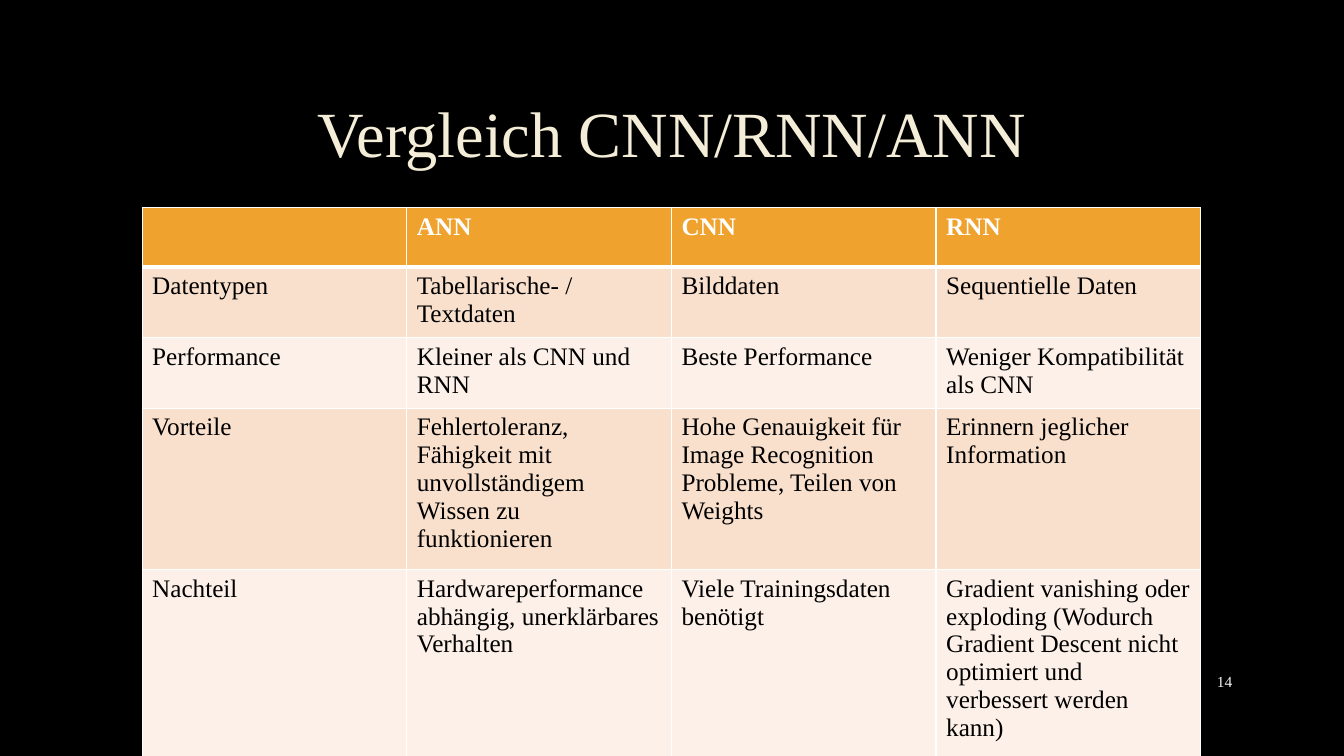
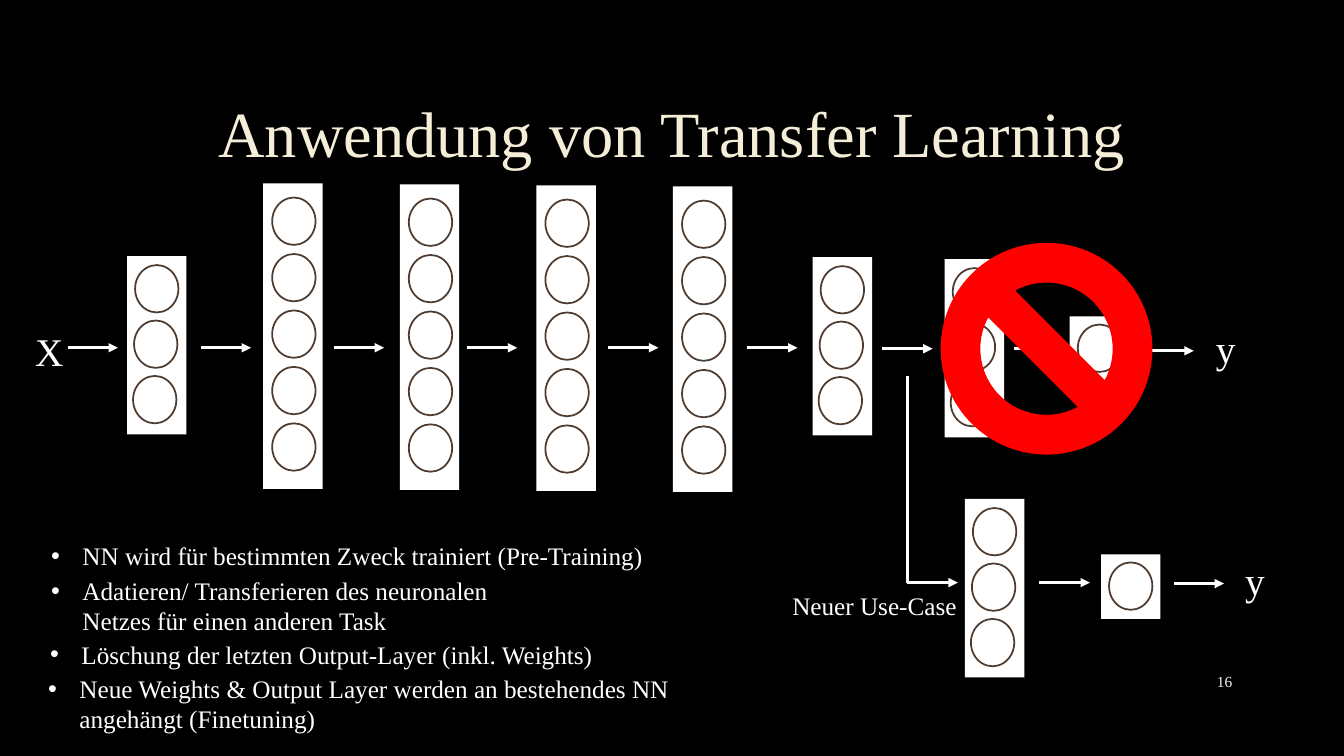
from pptx import Presentation
from pptx.dml.color import RGBColor
from pptx.enum.shapes import MSO_CONNECTOR, MSO_SHAPE
from pptx.enum.text import MSO_ANCHOR, PP_ALIGN
from pptx.oxml.ns import qn
from pptx.util import Inches, Pt
from lxml.etree import SubElement

FONT = "Times New Roman"
BLACK = RGBColor(0x00, 0x00, 0x00)
WHITE = RGBColor(0xFF, 0xFF, 0xFF)
CREAM = RGBColor(0xF4, 0xED, 0xD8)
LIGHT_GREY = RGBColor(0xF2, 0xF2, 0xF2)
BROWN = RGBColor(0x4E, 0x3B, 0x30)
RED = RGBColor(0xFF, 0x00, 0x00)
ORANGE = RGBColor(0xF0, 0xA2, 0x2E)
BAND_DARK = RGBColor(0xF9, 0xE0, 0xCD)
BAND_LIGHT = RGBColor(0xFC, 0xF0, 0xE8)


def add_text(s, box, text, size, color=WHITE, align=PP_ALIGN.LEFT,
             anchor=MSO_ANCHOR.TOP, bullet=False):
    tf = s.shapes.add_textbox(*map(Inches, box)).text_frame
    tf.word_wrap = True
    tf.vertical_anchor = anchor
    p = tf.paragraphs[0]
    p.alignment = align
    if bullet:
        pPr = p._p.get_or_add_pPr()
        pPr.set("marL", str(Inches(0.31)))
        pPr.set("indent", str(-Inches(0.31)))
        SubElement(pPr, qn("a:buFont"), typeface="Arial")
        SubElement(pPr, qn("a:buChar"), char="•")
    r = p.add_run()
    r.text = text
    r.font.name = FONT
    r.font.size = Pt(size)
    r.font.color.rgb = color
    return p


def add_filled(s, kind, box, fill, line=None):
    sp = s.shapes.add_shape(kind, *map(Inches, box))
    sp.shadow.inherit = False
    sp.fill.solid()
    sp.fill.fore_color.rgb = fill
    if line is None:
        sp.line.fill.background()
    else:
        sp.line.color.rgb = line
        sp.line.width = Pt(1.25)


prs = Presentation()
prs.slide_width = Inches(13.33)
prs.slide_height = Inches(7.5)

# Shared frame: background, title, slide number
slides = []
for title, number in [("Vergleich CNN/RNN/ANN", "14"),
                      ("Anwendung von Transfer Learning", "16")]:
    s = prs.slides.add_slide(prs.slide_layouts[6])
    s.background.fill.solid()
    s.background.fill.fore_color.rgb = BLACK
    p = add_text(s, (1, 0.67, 11.32, 1.38), title, 46, CREAM,
                 PP_ALIGN.CENTER, MSO_ANCHOR.MIDDLE)
    p.line_spacing = 0.9
    add_text(s, (11.5, 6.56, 0.82, 0.4), number, 11, LIGHT_GREY,
             PP_ALIGN.RIGHT, MSO_ANCHOR.MIDDLE)
    slides.append(s)
comparison, transfer = slides

# Comparison table
ROWS = [
    ("", "ANN", "CNN", "RNN"),
    ("Datentypen", "Tabellarische- / Textdaten", "Bilddaten",
     "Sequentielle Daten"),
    ("Performance", "Kleiner als CNN und RNN", "Beste Performance",
     "Weniger Kompatibilität als CNN"),
    ("Vorteile",
     "Fehlertoleranz, Fähigkeit mit unvollständigem Wissen zu funktionieren",
     "Hohe Genauigkeit für Image Recognition Probleme, Teilen von Weights",
     "Erinnern jeglicher Information"),
    ("Nachteil", "Hardwareperformance abhängig, unerklärbares Verhalten",
     "Viele Trainingsdaten benötigt",
     "Gradient vanishing oder exploding (Wodurch Gradient Descent nicht "
     "optimiert und verbessert werden kann)"),
]
table = comparison.shapes.add_table(
    len(ROWS), len(ROWS[0]), Inches(1.41), Inches(2.06),
    Inches(10.5), Inches(0.59 * len(ROWS))).table
for i, row in enumerate(ROWS):
    header = i == 0
    for j, text in enumerate(row):
        cell = table.cell(i, j)
        tcPr = cell._tc.get_or_add_tcPr()
        for side in "LRTB":
            thick = (i, side) in [(0, "B"), (1, "T")]
            ln = SubElement(tcPr, qn(f"a:ln{side}"), w=str(Pt(3 if thick else 1)))
            SubElement(SubElement(ln, qn("a:solidFill")), qn("a:srgbClr"),
                       val=str(WHITE))
        cell.fill.solid()
        cell.fill.fore_color.rgb = (
            ORANGE if header else BAND_DARK if i % 2 else BAND_LIGHT)
        if text:
            r = cell.text_frame.paragraphs[0].add_run()
            r.text = text
            r.font.name = FONT
            r.font.size = Pt(18)
            r.font.bold = header
            r.font.color.rgb = WHITE if header else BLACK

# Network layers: neurons -> (height, left inset, top inset, pitch, drift)
LAYER_STYLES = {
    5: (3.03, 0.09, 0.14, 0.56, 0),
    3: (1.77, 0.08, 0.09, 0.55, -0.01),
    1: (0.64, 0.08, 0.08, 0, 0),
}
LAYERS = [(2.61 + 1.355 * i, 1.82 + 0.01 * i, 5) for i in range(4)]
LAYERS += [(1.26, 2.54, 3), (8.06, 2.55, 3), (9.37, 2.57, 3), (10.61, 3.14, 1),
           (9.57, 4.95, 3), (10.92, 5.5, 1)]
for left, top, neurons in LAYERS:
    height, inset_x, inset_y, pitch, drift = LAYER_STYLES[neurons]
    add_filled(transfer, MSO_SHAPE.RECTANGLE, (left, top, 0.59, height), WHITE)
    for n in range(neurons):
        add_filled(transfer, MSO_SHAPE.OVAL,
                   (left + inset_x + n * drift, top + inset_y + n * pitch,
                    0.43, 0.47), WHITE, BROWN)

# Half-inch arrows between layers, and the branch line to the new use case
ARROWS = [(x, 3.45) for x in (0.67, 1.99, 3.31, 4.63, 6.03, 7.41)]
ARROWS += [(8.75, 3.46), (10.06, 3.46), (11.34, 3.48),
           (9, 5.78), (10.31, 5.78), (11.64, 5.79)]
LINES = [(x, y, x + 0.5, y, True) for x, y in ARROWS]
LINES.append((9, 3.73, 9, 5.78, False))
for *ends, arrowhead in LINES:
    line = transfer.shapes.add_connector(MSO_CONNECTOR.STRAIGHT,
                                         *map(Inches, ends))
    line.line.color.rgb = WHITE
    line.line.width = Pt(2.25)
    if arrowhead:
        SubElement(line.line._get_or_add_ln(), qn("a:tailEnd"), type="triangle")
    SubElement(line._element.spPr, qn("a:effectLst"))

add_filled(transfer, MSO_SHAPE.NO_SYMBOL, (9.33, 2.41, 2.1, 2.1), RED)

for text, left, top in [("X", 0.25, 3.2), ("y", 11.96, 3.17), ("y", 12.25, 5.47)]:
    add_text(transfer, (left, top, 0.59, 0.57), text, 28)
add_text(transfer, (7.76, 5.81, 1.9, 0.4), "Neuer Use-Case", 18)

for box, text in [
    ((0.41, 5.31, 6.36, 0.4),
     "NN wird für bestimmten Zweck trainiert (Pre-Training)"),
    ((0.41, 5.66, 5.17, 0.71),
     "Adatieren/ Transferieren des neuronalen Netzes für einen anderen Task"),
    ((0.4, 6.29, 6.36, 0.4),
     "Löschung der letzten Output-Layer (inkl. Weights)"),
    ((0.38, 6.63, 6.36, 0.71),
     "Neue Weights & Output Layer werden an bestehendes NN angehängt "
     "(Finetuning)"),
]:
    add_text(transfer, box, text, 18, bullet=True)

prs.save("out.pptx")
